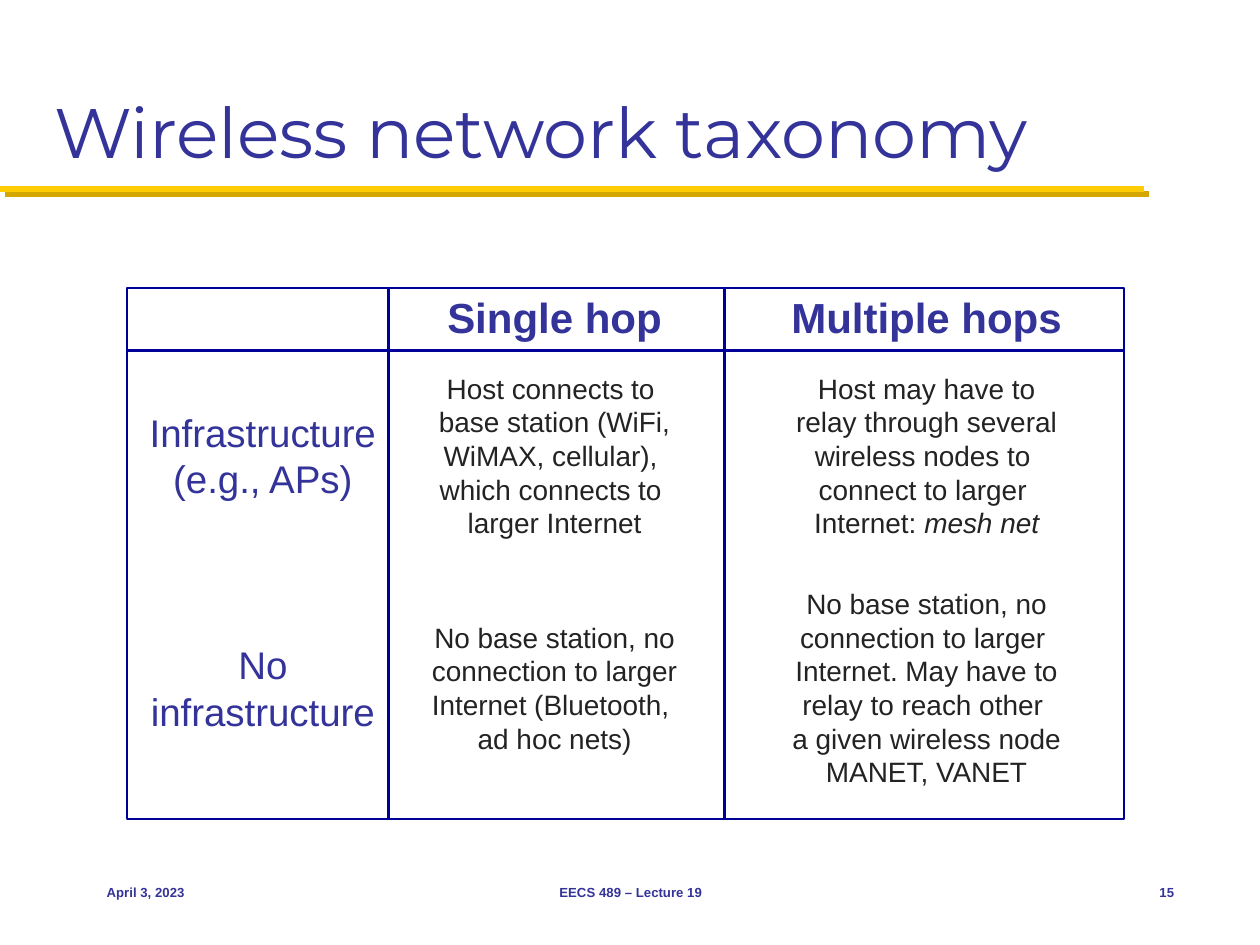
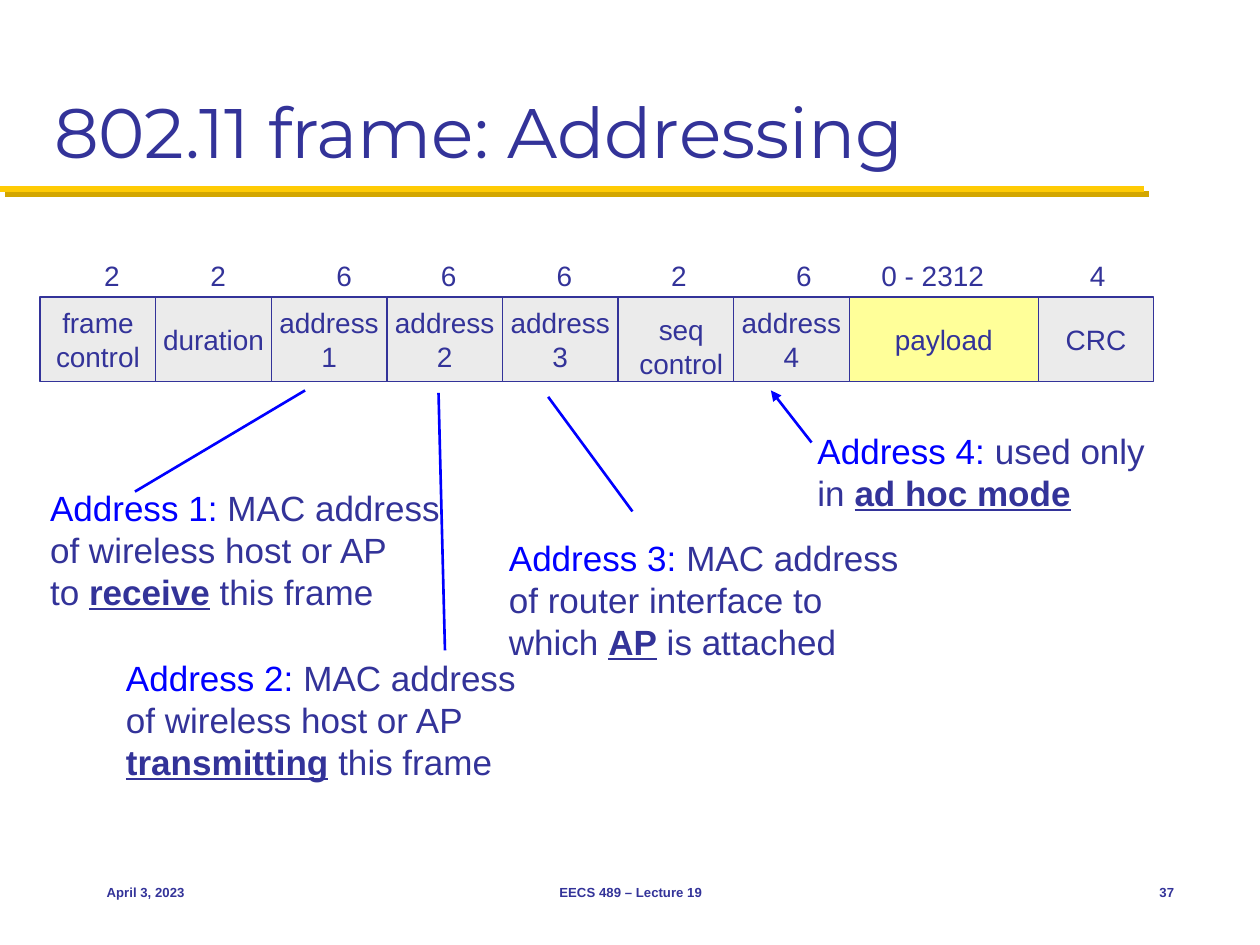
"""Build two lecture slides on wireless networks: a taxonomy and 802.11 addressing."""
import pptx
import pptx.dml.color
import pptx.enum.shapes
import pptx.enum.text
import pptx.oxml
import pptx.oxml.ns
import pptx.util

Cm, Pt = pptx.util.Cm, pptx.util.Pt
ALIGN, ANCHOR = pptx.enum.text.PP_ALIGN, pptx.enum.text.MSO_ANCHOR
RECT = pptx.enum.shapes.MSO_SHAPE.RECTANGLE
STRAIGHT = pptx.enum.shapes.MSO_CONNECTOR.STRAIGHT

COLORS = {"ink": "333399", "body": "232323", "grid": "000099", "key": "0000FF",
          "field": "EBEBEB", "payload": "FFFF99", "rule": "FFCB05", "shade": "D3A600"}
BODY_FONT, TITLE_FONT = "Arial", "Montserrat"

FOOTER = [("April 3, 2023", 1.9, 5.28, ALIGN.LEFT),
          ("EECS 489 – Lecture 19", 8.69, 8.05, ALIGN.CENTER)]

GRID = {"left": 2.56, "top": 5.81, "right": 22.66, "bottom": 16.51}
COLUMN_LINES = [7.83, 14.61]
HEADER_LINE = 7.06
COLUMN_CENTERS = [5.3, 11.18, 18.68]
COLUMN_WIDTHS = [5.11, 5.5, 6.0]
ROW_MIDDLES = [6.39, 9.18, 13.86]
TAXONOMY = [
    [[], ["Single hop"], ["Multiple hops"]],
    [["Infrastructure", "(e.g., APs)"],
     ["Host connects to ", "base station (WiFi,", "WiMAX, cellular), ",
      "which connects to ", "larger Internet"],
     ["Host may have to", "relay through several", "wireless nodes to ",
      "connect to larger ", [("Internet: ", ""), ("mesh net", "italic")]]],
    [["No", "infrastructure"],
     ["No base station, no", "connection to larger ", "Internet (Bluetooth, ",
      "ad hoc nets)"],
     ["No base station, no", "connection to larger ", "Internet. May have to",
      "relay to reach other ", "a given wireless node", "MANET, VANET"]],
]

FRAME_LEFT, FRAME_TOP, FRAME_HEIGHT = 0.81, 5.99, 1.7
FIELD_WIDTH, PAYLOAD_WIDTH = 2.33, 3.81
SIZE_TOP, SIZE_HEIGHT = 5.08, 0.94
FIELDS = [
    (["frame", "control"], "2", 2.27),
    (["duration"], "2", 4.41),
    (["address", "1"], "6", 6.95),
    (["address", "2"], "6", 9.06),
    (["address", "3"], "6", 11.39),
    (["seq", "control"], "2", 13.7),
    (["address", "4"], "6", 16.22),
    (["payload"], "0 - 2312", 18.83),
    (["CRC"], "4", 22.14),
]
SEQ_SHIFT = (0.11, 0.14)

NOTES = [
    ((0.76, 9.68, 8.43, 2.82), False,
     [[("Address 1: ", "key"), ("MAC address", "")], "of wireless host or AP",
      [("to ", ""), ("receive", "strong"), (" this frame", "")]]),
    ((2.29, 13.11, 8.43, 2.82), False,
     [[("Address 2: ", "key"), ("MAC address", "")], "of wireless host or AP",
      [("transmitting", "strong"), (" this frame", "")]]),
    ((10.01, 10.69, 8.48, 2.82), True,
     [[("Address 3: ", "key"), ("MAC address", "")],
      [("of router interface to which ", ""), ("AP", "strong"), (" is attached", "")]]),
    ((16.23, 8.53, 7.24, 1.96), True,
     [[("Address 4: ", "key"), ("used only in ", ""), ("ad hoc mode", "strong")]]),
]
POINTERS = [(2.72, 9.91, 6.15, 7.87), (8.97, 13.11, 8.84, 7.92),
            (12.75, 10.31, 11.05, 8.0)]
ARROW = (16.36, 8.92, 15.54, 7.87)


def rgb(name):
    return pptx.dml.color.RGBColor.from_string(COLORS[name])


def write(sp, paras, size, color="ink", align=ALIGN.LEFT, anchor=ANCHOR.TOP,
          wrap=False, bold=False, font=BODY_FONT):
    tf = sp.text_frame
    tf.word_wrap, tf.vertical_anchor = wrap, anchor
    for i, runs in enumerate(paras):
        p = tf.paragraphs[0] if i == 0 else tf.add_paragraph()
        p.alignment = align
        for text, style in [(runs, "")] if isinstance(runs, str) else runs:
            r = p.add_run()
            r.text = text
            r.font.name, r.font.size = font, Pt(size)
            r.font.bold = bold or style == "strong"
            r.font.underline = style == "strong"
            r.font.italic = style == "italic"
            r.font.color.rgb = rgb("key" if style == "key" else color)


def add_text(slide, box, paras, size, **options):
    sp = slide.shapes.add_textbox(*map(Cm, box))
    write(sp, paras, size, **options)


def add_rect(slide, box, line, width, fill=None):
    sp = slide.shapes.add_shape(RECT, *map(Cm, box))
    sp.shadow.inherit = False
    sp.line.color.rgb, sp.line.width = rgb(line), Pt(width)
    if fill:
        sp.fill.solid()
        sp.fill.fore_color.rgb = rgb(fill)
    else:
        sp.fill.background()
    return sp


def add_line(slide, ends, color, width=1.5):
    cx = slide.shapes.add_connector(STRAIGHT, *map(Cm, ends))
    cx.line.color.rgb, cx.line.width = rgb(color), Pt(width)
    effects = pptx.oxml.parse_xml(f"<a:effectLst {pptx.oxml.ns.nsdecls('a')}/>")
    cx._element.spPr.append(effects)
    return cx, effects


def add_slide(prs, title, number):
    slide = prs.slides.add_slide(prs.slide_layouts[6])
    _, effects = add_line(slide, (0, 3.81, 23.06, 3.81), "rule", 3.5)
    effects.append(pptx.oxml.parse_xml(
        f'<a:outerShdw {pptx.oxml.ns.nsdecls("a")} dist="53340" dir="2700000">'
        f'<a:srgbClr val="{COLORS["shade"]}"/></a:outerShdw>'))
    add_text(slide, (0.84, 0.43, 23.7, 3.18), [title], 40, font=TITLE_FONT,
             anchor=ANCHOR.BOTTOM, wrap=True)
    for text, left, width, align in FOOTER + [(number, 22.23, 1.69, ALIGN.RIGHT)]:
        add_text(slide, (left, 17.36, width, 1.27), [text], 7.5, align=align,
                 anchor=ANCHOR.MIDDLE, wrap=True, bold=True)
    return slide


def build_taxonomy(prs):
    slide = add_slide(prs, "Wireless network taxonomy", "15")
    left, top, right, bottom = GRID.values()
    for row, (cells, middle) in enumerate(zip(TAXONOMY, ROW_MIDDLES)):
        for col, paras in enumerate(cells):
            if not paras:
                continue
            size = 24 if row == 0 else 22 if col == 0 else 16
            width = COLUMN_WIDTHS[col]
            height = len(paras) * Pt(size * 1.2).cm + 0.25
            add_text(slide, (COLUMN_CENTERS[col] - width / 2, middle - height / 2,
                             width, height), paras, size, align=ALIGN.CENTER,
                     color="body" if size == 16 else "ink", bold=row == 0)
    add_rect(slide, (left, top, right - left, bottom - top), "grid", 1.5)
    add_line(slide, (left, HEADER_LINE, right, HEADER_LINE), "grid")
    for x in COLUMN_LINES:
        add_line(slide, (x, top, x, bottom), "grid")


def build_addressing(prs):
    slide = add_slide(prs, "802.11 frame: Addressing", "37")
    left = FRAME_LEFT
    for name, size, center in FIELDS:
        payload = name == ["payload"]
        width = PAYLOAD_WIDTH if payload else FIELD_WIDTH
        box = (left, FRAME_TOP, width, FRAME_HEIGHT)
        sp = add_rect(slide, box, "ink", 0.75, "payload" if payload else "field")
        if name[0] == "seq":
            dx, dy = SEQ_SHIFT
            sp = slide.shapes.add_textbox(Cm(left + dx), Cm(FRAME_TOP + dy),
                                          Cm(width), Cm(FRAME_HEIGHT))
        write(sp, name, 16, align=ALIGN.CENTER, anchor=ANCHOR.MIDDLE)
        size_width = 2.62 if payload else 0.84
        add_text(slide, (center - size_width / 2, SIZE_TOP, size_width, SIZE_HEIGHT),
                 [size], 16)
        left += width
    for box, wrap, paras in NOTES:
        add_text(slide, box, paras, 20, wrap=wrap)
    for ends in POINTERS:
        add_line(slide, ends, "key")
    cx, _ = add_line(slide, ARROW, "key")
    cx.line._get_or_add_ln().append(pptx.oxml.parse_xml(
        f'<a:tailEnd {pptx.oxml.ns.nsdecls("a")} type="triangle"/>'))


def main():
    prs = pptx.Presentation()
    prs.slide_width, prs.slide_height = Cm(25.4), Cm(19.05)
    build_taxonomy(prs)
    build_addressing(prs)
    prs.save("out.pptx")


if __name__ == "__main__":
    main()
